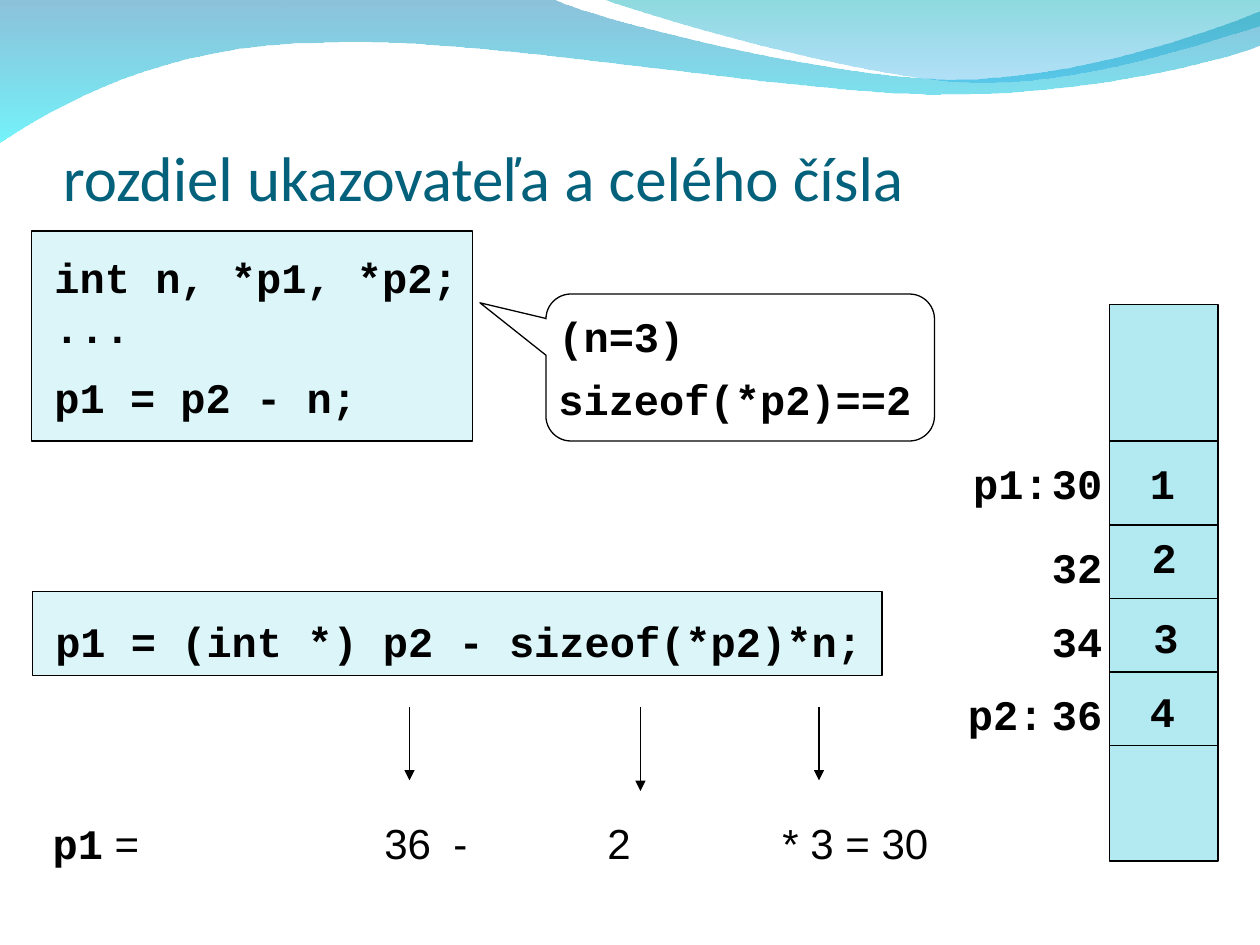
from dataclasses import dataclass
from typing import NamedTuple

from lxml.etree import SubElement
from pptx import Presentation
from pptx.dml.color import RGBColor
from pptx.enum.shapes import MSO_CONNECTOR as Connector, MSO_SHAPE as Shape
from pptx.enum.text import MSO_ANCHOR as Anchor
from pptx.oxml import parse_xml
from pptx.oxml.ns import nsdecls, qn
from pptx.util import Pt

COLORS = {"title": "04617B", "ink": "000000", "code": "DBF5F9",
          "memory": "B3EAF2", "paper": "FFFFFF"}
CODE_FONT = "Courier New"
LINE_WIDTH = 0.75
COLUMN_LEFT, COLUMN_WIDTH = 634, 62


class Label(NamedTuple):
    left: float
    top: float
    width: float
    text: str
    height: float = 36


class Stop(NamedTuple):
    position: int
    color: str
    alpha: int


class Cell(NamedTuple):
    top: float
    address: str
    value: str
    value_left: float
    value_top: float


@dataclass
class Wave:
    """Outline of points; a curve step holds three points, a line step one."""
    start: tuple
    steps: list
    stops: list


WAVES = [
    Wave((0, 0), [
        [(316.8, 0)],
        [(342.7, 12.2), (478.1, 45.4), (545.8, 45.4)],
        [(614.2, 45.4), (689.8, 18.7), (720, 6.5)],
        [(720, 25.9)],
        [(707.8, 31.7), (626.4, 54.7), (537.1, 54)],
        [(447.8, 54), (275, 20.2), (185, 24.5)],
        [(92.9, 25.2), (33.1, 59.8), (0, 81.4)],
    ], [Stop(0, "0079AF", 45), Stop(100, "00EBF8", 55)]),
    Wave((345, 0), [
        [(366.5, 7.9), (491, 44.6), (553.7, 46.8)],
        [(616.3, 49.7), (691.9, 23), (720, 15.1)],
        [(720, 0)],
    ], [Stop(0, "00ADB6", 45), Stop(100, "009BE5", 30)]),
]

CELLS = [
    Cell(252, "30", "1", 650, 258),
    Cell(300, "32", "2", 651, 300),
    Cell(342, "34", "3", 652, 346),
    Cell(384, "36", "4", 650, 388),
]
COLUMN_END = 426


def rgb(name: str) -> RGBColor:
    return RGBColor.from_string(COLORS[name])


def add_wave(page, wave: Wave) -> None:
    builder = page.shapes.build_freeform(*map(Pt, wave.start))
    builder.add_line_segments([tuple(map(Pt, step[-1])) for step in wave.steps], close=True)
    shape = builder.convert_to_shape()
    shape.shadow.inherit = False
    shape.line.fill.background()

    # Turn the sides with three points into curves
    sides = list(shape._element.iter(qn("a:lnTo")))
    for side, step in zip(sides, wave.steps):
        if len(step) == 3:
            bend = SubElement(side.getparent(), qn("a:cubicBezTo"))
            for x, y in step:
                SubElement(bend, qn("a:pt"), x=str(Pt(x) - shape.left), y=str(Pt(y) - shape.top))
            side.getparent().replace(side, bend)

    stops = "".join(
        f'<a:gs pos="{stop.position * 1000}"><a:srgbClr val="{stop.color}">'
        f'<a:alpha val="{stop.alpha * 1000}"/></a:srgbClr></a:gs>'
        for stop in wave.stops)
    gradient = parse_xml(f'<a:gradFill {nsdecls("a")} rotWithShape="1"><a:gsLst>{stops}'
                         '</a:gsLst><a:lin ang="5400000" scaled="0"/></a:gradFill>')
    shape._element.spPr.find(qn("a:custGeom")).addnext(gradient)


def add_panel(page, left: float, top: float, width: float, height: float,
              fill: str, kind=Shape.RECTANGLE):
    panel = page.shapes.add_shape(kind, Pt(left), Pt(top), Pt(width), Pt(height))
    panel.shadow.inherit = False
    panel.fill.solid()
    panel.fill.fore_color.rgb = rgb(fill)
    panel.line.color.rgb = rgb("ink")
    panel.line.width = Pt(LINE_WIDTH)
    return panel


def add_line(page, x1: float, y1: float, x2: float, y2: float, arrow: bool = False) -> None:
    line = page.shapes.add_connector(Connector.STRAIGHT, Pt(x1), Pt(y1), Pt(x2), Pt(y2))
    line.line.color.rgb = rgb("ink")
    line.line.width = Pt(LINE_WIDTH)
    if arrow:
        SubElement(line.line._get_or_add_ln(), qn("a:tailEnd"), type="triangle")
    SubElement(line._element.spPr, qn("a:effectLst"))


def style(span, font: str = CODE_FONT, size: float = 24,
          bold: bool = True, color: str = "ink") -> None:
    span.font.name = font
    span.font.size = Pt(size)
    span.font.bold = bold
    span.font.color.rgb = rgb(color)


def add_label(page, label: Label):
    box = page.shapes.add_textbox(Pt(label.left), Pt(label.top),
                                  Pt(label.width), Pt(label.height))
    frame = box.text_frame
    frame.word_wrap = True
    frame.margin_right = 0
    frame.text = label.text
    for para in frame.paragraphs:
        for span in para.runs:
            style(span)
    return frame


def add_title(page) -> None:
    frame = add_label(page, Label(36, 55.5, 648, "rozdiel ukazovateľa a celého čísla", 67))
    frame.vertical_anchor = Anchor.BOTTOM
    frame.margin_left = frame.margin_bottom = 0
    style(frame.paragraphs[0].runs[0], "Calibri", 36, False, "title")


def add_evaluation(page) -> None:
    frame = add_label(page, Label(23, 463.5, 516, "p1"))
    para = frame.paragraphs[0]
    tabs = SubElement(para._p.get_or_add_pPr(), qn("a:tabLst"))
    for position in (189.5, 229, 317, 417):
        SubElement(tabs, qn("a:tab"), pos=str(Pt(position)), algn="l")
    span = para.add_run()
    span.text = " =\t36\t-\t2\t* 3 = 30"
    style(span, "Arial", bold=False)


def add_memory(page) -> None:
    add_panel(page, COLUMN_LEFT, 174, COLUMN_WIDTH, 318, "memory")
    for top in [cell.top for cell in CELLS] + [COLUMN_END]:
        add_line(page, COLUMN_LEFT, top, COLUMN_LEFT + COLUMN_WIDTH, top)
    for cell in CELLS:
        add_label(page, Label(594, cell.top + 6, 54, cell.address))
        add_label(page, Label(cell.value_left, cell.value_top, 34, cell.value))
    add_label(page, Label(549, CELLS[0].top + 6, 66, "p1:"))
    add_label(page, Label(546, CELLS[-1].top + 6, 66, "p2:"))


def main() -> None:
    deck = Presentation()
    deck.slide_width, deck.slide_height = Pt(720), Pt(540)
    page = deck.slides.add_slide(deck.slide_layouts[6])

    # Wave header and title
    for wave in WAVES:
        add_wave(page, wave)
    add_title(page)

    # Declaration code
    add_panel(page, 18, 132, 252, 120, "code")
    code = add_label(page, Label(24, 140, 245, "int n, *p1, *p2;\n...\np1 = p2 - n;", 106))
    code.paragraphs[2].space_before = Pt(11)

    # Expanded expression and its evaluation
    add_panel(page, 18.5, 338, 485.5, 48, "code")
    add_label(page, Label(24.5, 348, 475, "p1 = (int *) p2 - sizeof(*p2)*n;"))
    add_evaluation(page)
    for x, end in ((234, 446), (366, 452), (468, 446)):
        add_line(page, x, 404, x, end, arrow=True)

    # Memory column
    add_memory(page)

    # Callout with the assumptions
    callout = add_panel(page, 312, 168, 222, 84, "paper", Shape.ROUNDED_RECTANGULAR_CALLOUT)
    for index, value in enumerate((-0.67, -0.44, 0.17)):
        callout.adjustments[index] = value
    add_label(page, Label(312, 174, 86, "(n=3)"))
    add_label(page, Label(312, 210, 216, "sizeof(*p2)==2"))

    deck.save("out.pptx")


if __name__ == "__main__":
    main()
